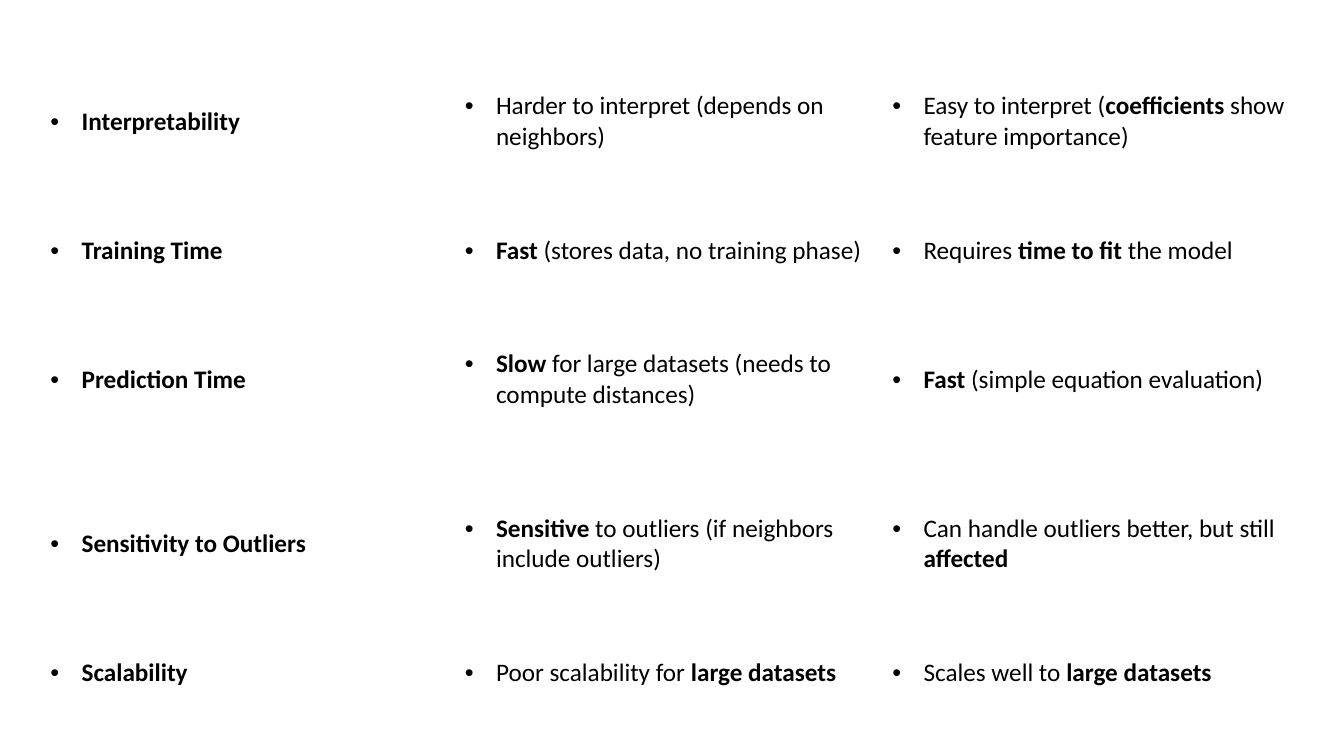
from lxml import etree
from pptx import Presentation
from pptx.dml.color import RGBColor
from pptx.enum.text import MSO_ANCHOR
from pptx.oxml.ns import qn
from pptx.util import Inches, Pt

MIDDLE = MSO_ANCHOR.MIDDLE
COLORS = {"text": "000000", "fill": "FFFFFF"}
WIDTHS = [4.11, 4.24, 4.24]
HEIGHTS = [1.63, 0.93, 1.63, 1.63, 0.93]
ROWS = [
    ["*Interpretability*", "Harder to interpret (depends on neighbors)",
     "Easy to interpret (*coefficients* show feature importance)"],
    ["*Training Time*", "*Fast* (stores data, no training phase)",
     "Requires *time to fit* the model"],
    ["*Prediction Time*", "*Slow* for large datasets (needs to compute distances)",
     "*Fast* (simple equation evaluation)"],
    ["*Sensitivity to Outliers*", "*Sensitive* to outliers (if neighbors include outliers)",
     "Can handle outliers better, but still *affected*"],
    ["*Scalability*", "Poor scalability for *large datasets*",
     "Scales well to *large datasets*"],
]


class Deck:
    """Hold the text style and the current slide; asterisks in text mark bold runs."""

    def __init__(self, slide, font="Calibri", size=18, indent=0.31):
        self.slide = slide
        self.font = font
        self.size = Pt(size)
        self.indent = Inches(indent)

    def color(self, name):
        return RGBColor.from_string(COLORS[name])

    def bullet(self, para):
        props = para._p.get_or_add_pPr()
        props.set("marL", str(self.indent))
        props.set("indent", str(-self.indent))
        etree.SubElement(props, qn("a:buFont")).set("typeface", "Arial")
        etree.SubElement(props, qn("a:buChar")).set("char", "•")

    def text(self, para, words):
        for index, part in enumerate(words.split("*")):
            if part:
                run = para.add_run()
                run.text = part
                run.font.name = self.font
                run.font.size = self.size
                run.font.bold = index % 2 == 1
                run.font.color.rgb = self.color("text")

    def cell(self, cell, words):
        cell.fill.solid()
        cell.fill.fore_color.rgb = self.color("fill")
        cell.vertical_anchor = MIDDLE
        para = cell.text_frame.paragraphs[0]
        self.bullet(para)
        self.text(para, words)

    def table(self, left, top, widths, heights, rows):
        frame = self.slide.shapes.add_table(
            len(rows), len(widths), Inches(left), Inches(top),
            Inches(sum(widths)), Inches(sum(heights)))
        table = frame.table
        table.first_row = False
        table.horz_banding = False
        for column, width in zip(table.columns, widths):
            column.width = Inches(width)
        for row, height, line in zip(table.rows, heights, rows):
            row.height = Inches(height)
            for cell, words in zip(row.cells, line):
                self.cell(cell, words)


def main():
    show = Presentation()
    show.slide_width = Inches(13.33)
    show.slide_height = Inches(7.5)
    deck = Deck(show.slides.add_slide(show.slide_layouts[6]))
    deck.table(0.4, 0.39, WIDTHS, HEIGHTS, ROWS)
    show.save("out.pptx")


if __name__ == "__main__":
    main()
